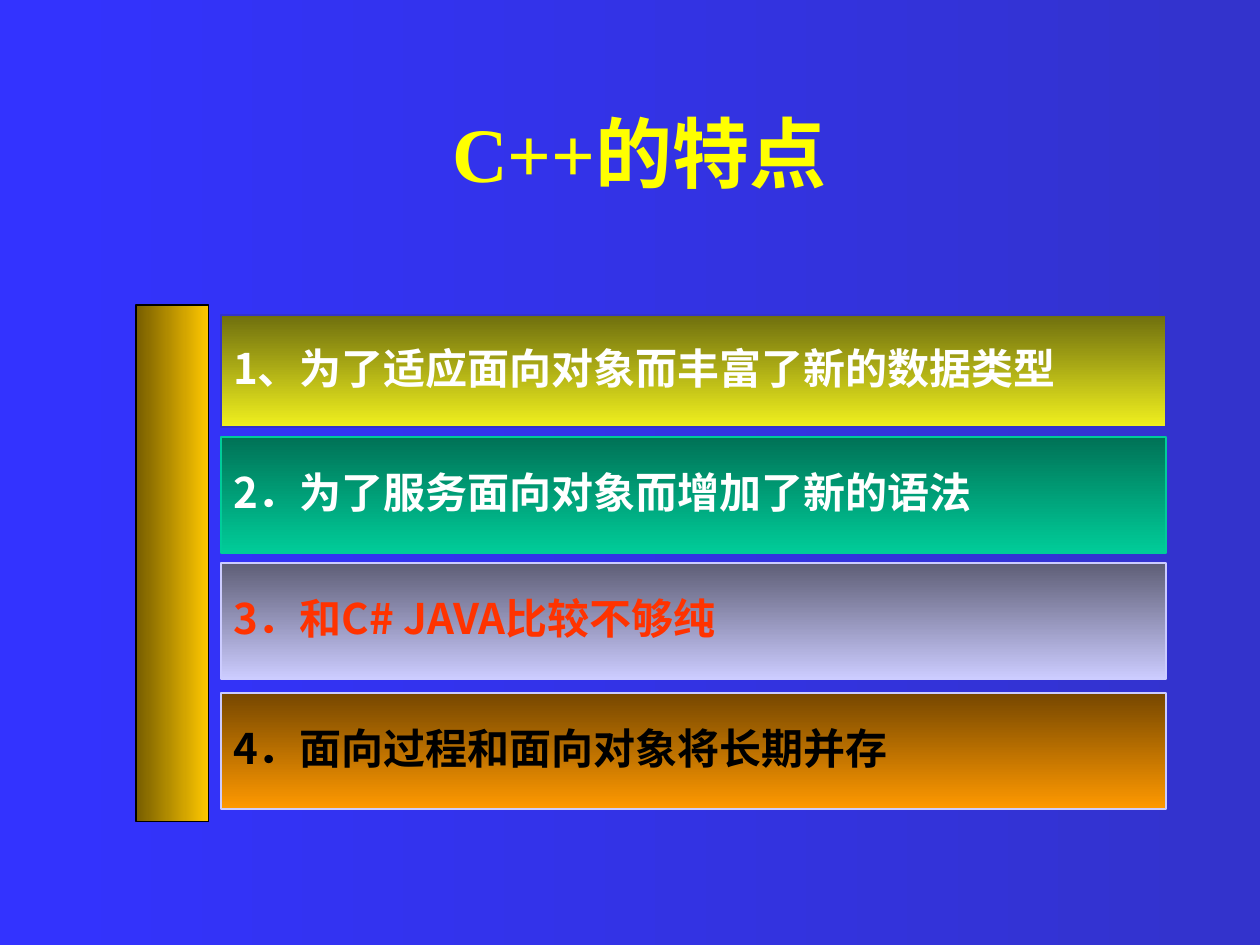
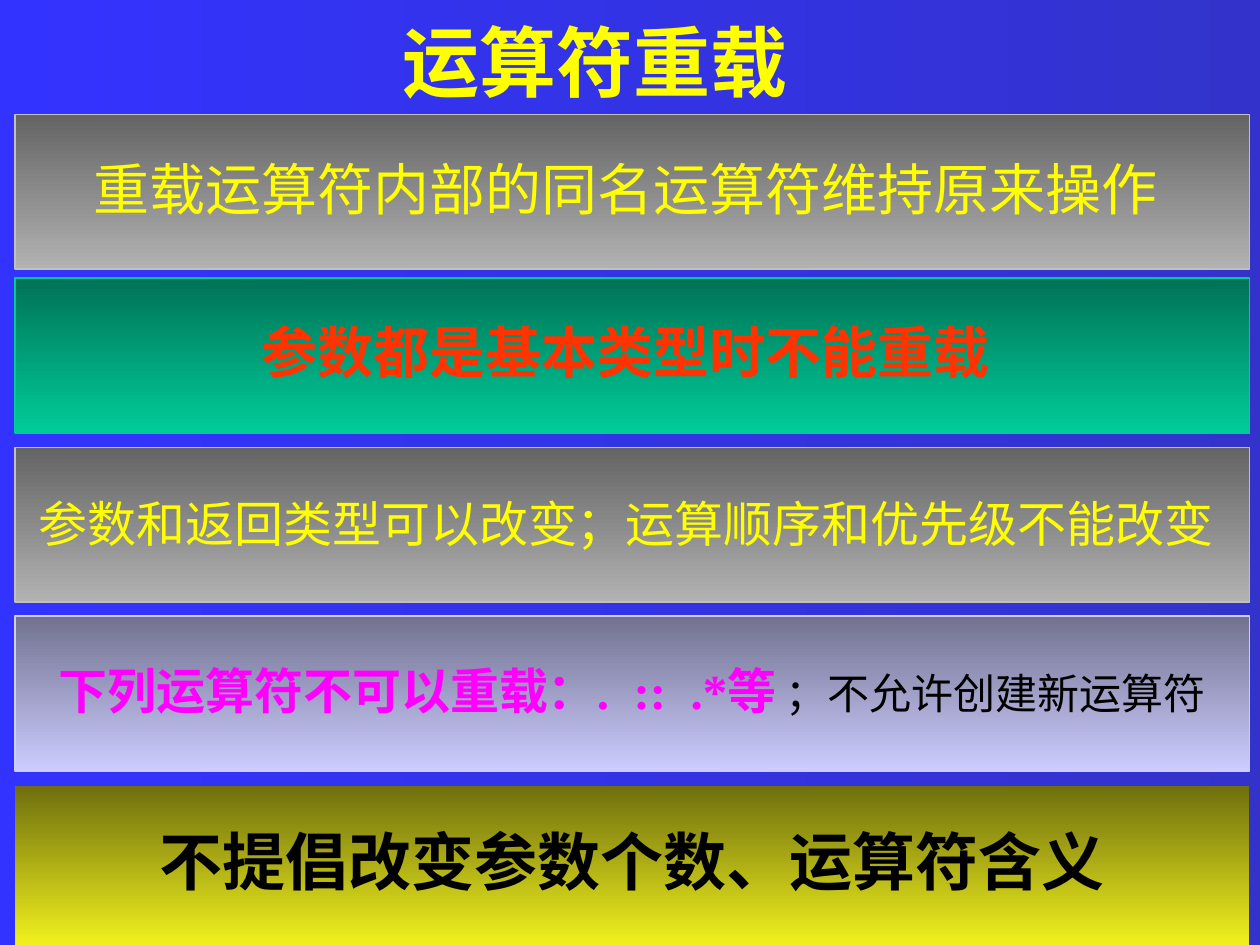
"""Build two slides on C++ features and operator overloading."""
from dataclasses import dataclass

from lxml import etree
from pptx import Presentation
from pptx.dml.color import RGBColor
from pptx.enum import shapes, text
from pptx.oxml import ns
from pptx.util import Cm, Pt


@dataclass(frozen=True)
class Theme:
    background: tuple = ("3333FF", "3333CC")
    gold: tuple = ("765D00", "FFC800")
    yellow_band: tuple = ("6F6F0E", "F0F01E")
    green_band: tuple = ("007256", "00CC99")
    violet_band: tuple = ("5E5E76", "CCCCFF")
    lilac_band: tuple = ("72728F", "CCCCFF")
    orange_band: tuple = ("764700", "FF9900")
    grey_band: tuple = ("646464", "B2B2B2")
    blue: str = "3333CC"
    green: str = "00CC99"
    lilac: str = "CCCCFF"
    silver: str = "C0C0C0"
    yellow: str = "FFFF00"
    white: str = "FFFFFF"
    black: str = "000000"
    red: str = "FF3300"
    magenta: str = "FF00FF"
    serif: str = "Times New Roman"
    sans: str = "Arial"
    chinese: str = "Noto Sans CJK SC"
    title_size: int = 44
    heading_size: int = 36
    large_size: int = 32
    medium_size: int = 28
    small_size: int = 24


class Deck:
    def __init__(self, theme):
        self.theme = theme
        self.presentation = Presentation()
        self.presentation.slide_width = Cm(25.4)
        self.presentation.slide_height = Cm(19.05)
        self.shade(self.presentation.slide_master.background.fill, theme.background, 0)
        self.slide = None

    def shade(self, fill, colours, angle):
        fill.gradient()
        fill.gradient_angle = angle
        for stop, position, colour in zip(fill.gradient_stops, (0, 1), colours):
            stop.position = position
            stop.color.rgb = RGBColor.from_string(colour)

    def style_run(self, run, size, colour, bold, font):
        run.font.size = Pt(size)
        run.font.bold = bold
        run.font.name = font
        run.font.color.rgb = RGBColor.from_string(colour)
        east_asian = etree.SubElement(run._r.get_or_add_rPr(), ns.qn("a:ea"))
        east_asian.set("typeface", self.theme.chinese)

    def add_slide(self, title, left, top, height):
        layout = self.presentation.slide_layouts.get_by_name("Title Only")
        self.slide = self.presentation.slides.add_slide(layout)
        shape = self.slide.shapes.title
        shape.left, shape.top = Cm(left), Cm(top)
        shape.width, shape.height = self.presentation.slide_width, Cm(height)
        frame = shape.text_frame
        frame.text = title
        frame.auto_size = text.MSO_AUTO_SIZE.NONE
        frame.vertical_anchor = text.MSO_ANCHOR.MIDDLE
        paragraph = frame.paragraphs[0]
        paragraph.alignment = text.PP_ALIGN.CENTER
        theme = self.theme
        self.style_run(paragraph.runs[0], theme.title_size, theme.yellow, True, theme.serif)

    def add_block(self, bounds, colours, outline, angle=270, line_width=1):
        shape = self.slide.shapes.add_shape(
            shapes.MSO_SHAPE.RECTANGLE, *(Cm(length) for length in bounds))
        shape.shadow.inherit = False
        self.shade(shape.fill, colours, angle)
        if outline:
            shape.line.color.rgb = RGBColor.from_string(outline)
            shape.line.width = Pt(line_width)
        else:
            shape.line.fill.background()
        return shape

    def add_band(self, bounds, colours, outline, alignment, pieces):
        frame = self.add_block(bounds, colours, outline).text_frame
        frame.word_wrap = False
        frame.vertical_anchor = text.MSO_ANCHOR.MIDDLE
        paragraph = frame.paragraphs[0]
        paragraph.alignment = alignment
        paragraph.line_spacing = 0.9
        for words, *style in pieces:
            run = paragraph.add_run()
            run.text = words
            self.style_run(run, *style)


def add_features(deck):
    theme = deck.theme
    deck.add_slide(" C++的特点", 0, 1.47, 3.18)
    deck.add_block((2.74, 6.15, 1.47, 10.41), theme.gold, theme.black, 0, 0.75)
    features = (
        (6.35, 2.26, theme.yellow_band, theme.blue, theme.white,
         "1、为了适应面向对象而丰富了新的数据类型"),
        (8.81, 2.34, theme.green_band, theme.green, theme.white,
         "2．为了服务面向对象而增加了新的语法"),
        (11.35, 2.34, theme.violet_band, theme.lilac, theme.red,
         "3．和C# JAVA比较不够纯"),
        (13.97, 2.34, theme.orange_band, theme.lilac, theme.black,
         "4．面向过程和面向对象将长期并存"),
    )
    for top, height, colours, outline, colour, words in features:
        deck.add_band((4.45, top, 19.05, height), colours, outline, text.PP_ALIGN.LEFT,
                      [(words, theme.small_size, colour, True, theme.chinese)])


def add_overloading(deck):
    theme = deck.theme
    deck.add_slide("运算符重载", -0.71, 0.33, 1.8)
    rules = (
        (2.31, 3.12, theme.grey_band, theme.silver,
         [("重载运算符内部的同名运算符维持原来操作 ",
           theme.large_size, theme.yellow, False, theme.serif)]),
        (5.61, 3.12, theme.green_band, theme.green,
         [("参数都是基本类型时不能重载 ",
           theme.large_size, theme.red, True, theme.serif)]),
        (9.02, 3.12, theme.grey_band, theme.silver,
         [("参数和返回类型可以改变；运算顺序和优先级不能改变",
           theme.medium_size, theme.yellow, False, theme.serif),
          (" ", theme.large_size, theme.yellow, False, theme.serif)]),
        (12.42, 3.12, theme.lilac_band, theme.lilac,
         [("下列运算符不可以重载：.  ::  .*等",
           theme.medium_size, theme.magenta, True, theme.serif),
          (" ；不允许创建新运算符",
           theme.small_size, theme.black, False, theme.serif)]),
        (15.85, 3.2, theme.yellow_band, None,
         [("不提倡改变参数个数、运算符含义",
           theme.heading_size, theme.black, True, theme.sans)]),
    )
    for top, height, colours, outline, pieces in rules:
        deck.add_band((0.3, top, 24.89, height), colours, outline,
                      text.PP_ALIGN.CENTER, pieces)


def main():
    deck = Deck(Theme())
    add_features(deck)
    add_overloading(deck)
    deck.presentation.save("out.pptx")


if __name__ == "__main__":
    main()
